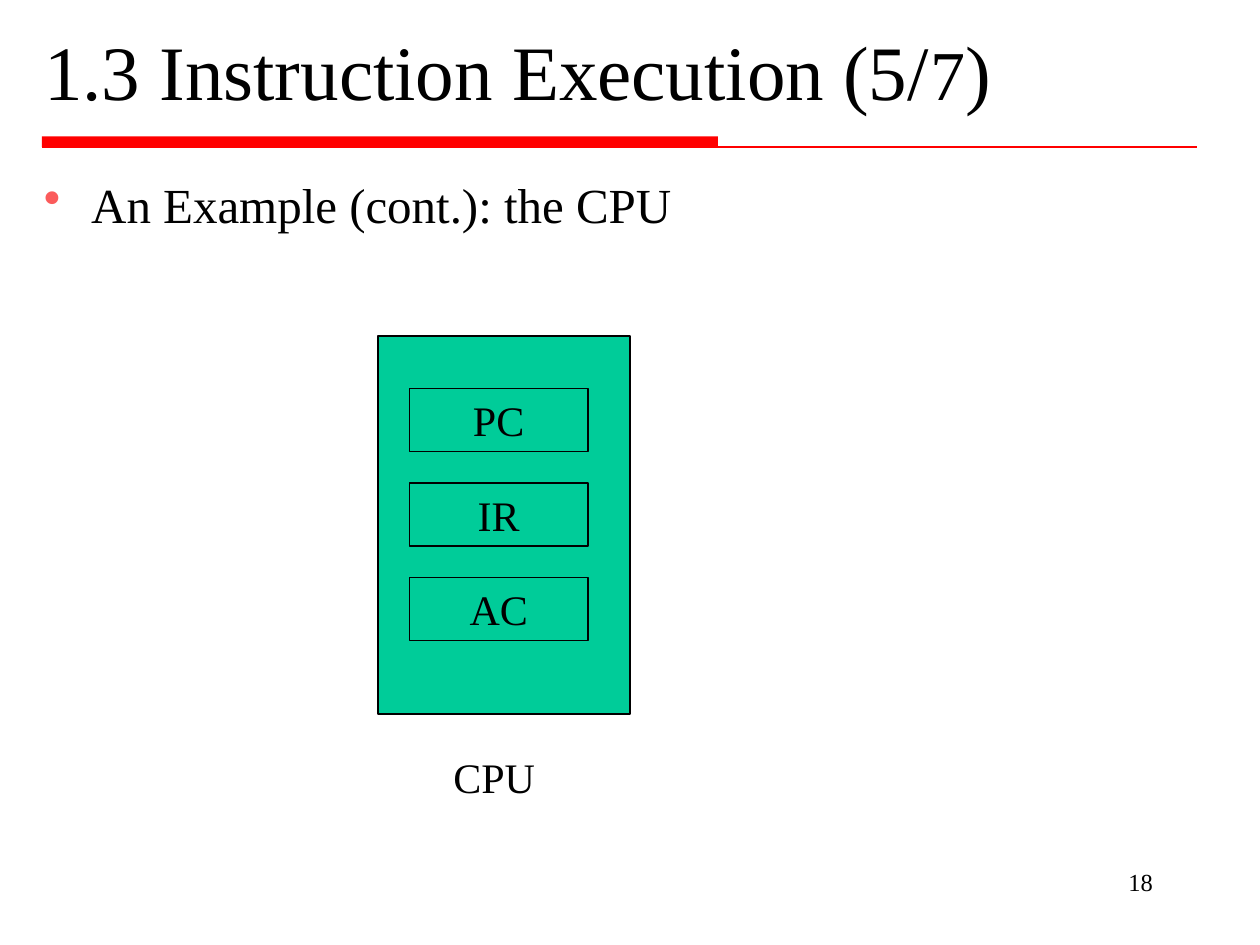
from dataclasses import dataclass

from lxml import etree
from pptx import Presentation
from pptx.dml.color import RGBColor
from pptx.enum.shapes import MSO_CONNECTOR, MSO_SHAPE
from pptx.enum.text import MSO_ANCHOR, MSO_AUTO_SIZE, PP_ALIGN
from pptx.oxml.ns import qn
from pptx.util import Emu, Pt

PX = 9525  # 96 px to the inch
FONT = "Times New Roman"
BLACK, RED, GREEN, BULLET = "000000", "FF0000", "00CC99", "FB5B5B"
LEFT, CENTER, RIGHT = PP_ALIGN.LEFT, PP_ALIGN.CENTER, PP_ALIGN.RIGHT
TOP, MIDDLE = MSO_ANCHOR.TOP, MSO_ANCHOR.MIDDLE
RECTANGLE, STRAIGHT = MSO_SHAPE.RECTANGLE, MSO_CONNECTOR.STRAIGHT
NO_FIT, GROW = MSO_AUTO_SIZE.NONE, MSO_AUTO_SIZE.SHAPE_TO_FIT_TEXT


@dataclass
class Area:
    left: int
    top: int
    width: int
    height: int

    def emu(self) -> list[Emu]:
        return [px(n) for n in (self.left, self.top, self.width, self.height)]


def px(length: int) -> Emu:
    return Emu(length * PX)


def color(value: str) -> RGBColor:
    return RGBColor.from_string(value)


def apply(target, formats: dict) -> None:
    for name, value in formats.items():
        setattr(target, name, value)


def write(box, spans: list[tuple[str, int]], frame: dict, paragraph: dict):
    """Fill a shape with one paragraph of (text, point size) spans."""
    apply(box.text_frame, {"word_wrap": True, "auto_size": NO_FIT,
                           "vertical_anchor": TOP} | frame)
    para = box.text_frame.paragraphs[0]
    apply(para, {"alignment": LEFT} | paragraph)
    for text, size in spans:
        span = para.add_run()
        span.text = text
        apply(span.font, {"name": FONT, "size": Pt(size)})
        span.font.color.rgb = color(BLACK)
    return para


def add_text(shapes, area: Area, text: str, size: int, frame: dict, paragraph: dict):
    box = shapes.add_textbox(*area.emu())
    return write(box, [(text, size)], frame, paragraph)


def add_rectangle(shapes, area: Area, fill: str, line: str | None):
    box = shapes.add_shape(RECTANGLE, *area.emu())
    box.shadow.inherit = False
    box.fill.solid()
    box.fill.fore_color.rgb = color(fill)
    if line is None:
        box.line.fill.background()
    else:
        box.line.color.rgb = color(line)
        box.line.width = Pt(0.75)
    return box


def add_line(shapes, left: int, right: int, y: int, line: str) -> None:
    rule = shapes.add_connector(STRAIGHT, px(left), px(y), px(right), px(y))
    rule.line.color.rgb = color(line)
    rule.line.width = Pt(0.75)
    etree.SubElement(rule._element.spPr, qn("a:effectLst"))


def add_bullet(para, indent: int) -> None:
    properties = para._p.get_or_add_pPr()
    properties.set("marL", str(px(indent)))
    properties.set("indent", str(-px(indent)))
    tint = etree.SubElement(properties, qn("a:buClr"))
    etree.SubElement(tint, qn("a:srgbClr"), val=BULLET)
    etree.SubElement(properties, qn("a:buChar"), char="•")


def main() -> None:
    deck = Presentation()
    deck.slide_width, deck.slide_height = px(960), px(720)
    page = deck.slides.add_slide(deck.slide_layouts[5])

    # Title
    title = page.shapes.title
    title.left, title.top, title.width, title.height = Area(24, 16, 896, 88).emu()
    write(title, [("1.3 Instruction Execution (5/", 44), ("7", 40), (")", 44)],
          {"vertical_anchor": MIDDLE}, {"line_spacing": 0.8})

    # Red rule under the title
    add_rectangle(page.shapes, Area(32, 104, 515, 8), RED, None)
    add_line(page.shapes, 32, 912, 112, RED)

    # Body
    body = add_text(page.shapes, Area(24, 128, 896, 512), "An Example (cont.): the CPU",
                    28, {}, {"space_before": Pt(7)})
    add_bullet(body, 36)

    # CPU with its registers
    diagram = page.shapes.add_group_shape().shapes
    add_rectangle(diagram, Area(288, 256, 192, 288), GREEN, BLACK)
    add_text(diagram, Area(336, 568, 96, 48), "CPU", 24,
             {"auto_size": GROW}, {"space_before": Pt(15)})
    for row, name in enumerate(("PC", "IR", "AC")):
        register = add_rectangle(diagram, Area(312, 296 + 72 * row, 136, 48), GREEN, BLACK)
        write(register, [(name, 24)], {"vertical_anchor": MIDDLE, "word_wrap": False},
              {"alignment": CENTER})

    # Page number
    add_text(page.shapes, Area(688, 656, 200, 48), "18", 14, {}, {"alignment": RIGHT})

    deck.save("out.pptx")


if __name__ == "__main__":
    main()
